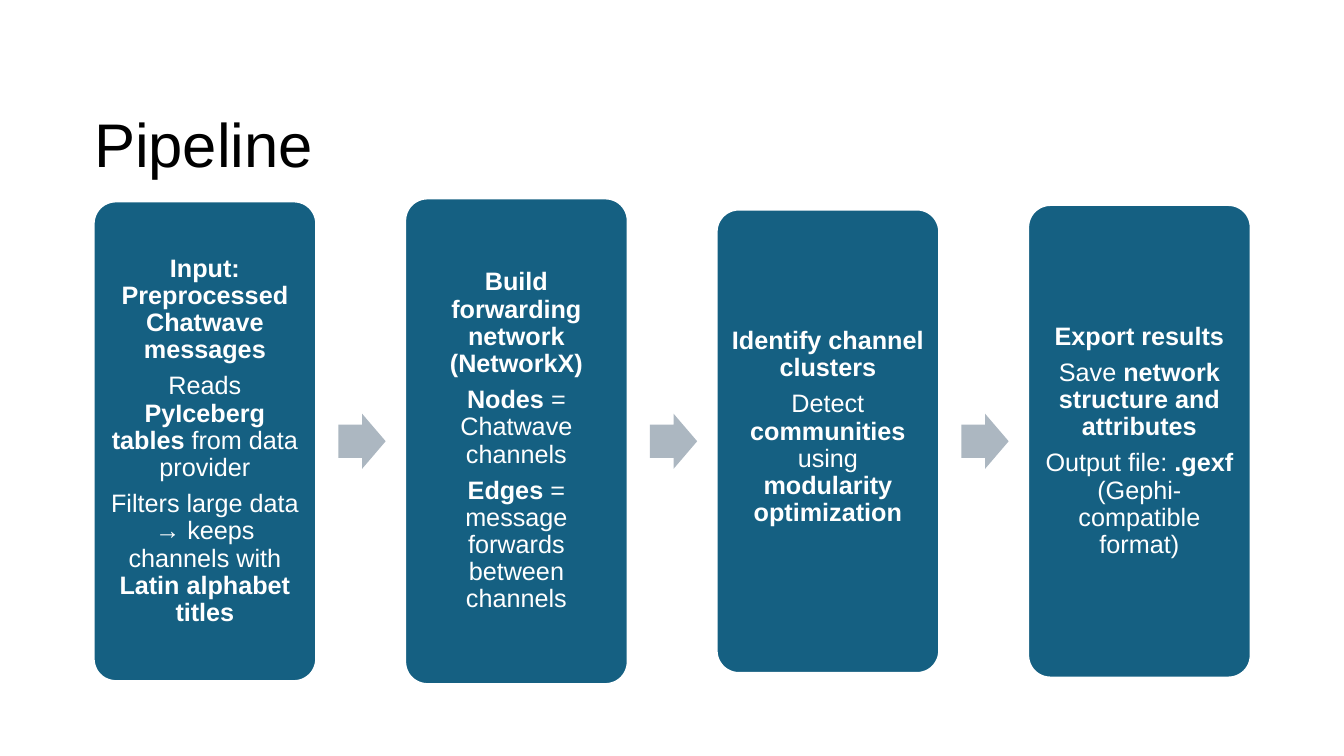
import pptx
import pptx.util
import pptx.dml.color
import pptx.enum.shapes
import pptx.enum.text
from pptx.util import Cm, Pt

SHAPES = pptx.enum.shapes.MSO_SHAPE
ALIGN = pptx.enum.text.PP_ALIGN
MIDDLE = pptx.enum.text.MSO_ANCHOR.MIDDLE


def color(value):
    return pptx.dml.color.RGBColor.from_string(value)


def write(frame, texts, para_format, font_format, font_color):
    for index, text in enumerate(texts):
        para = frame.paragraphs[0] if index == 0 else frame.add_paragraph()
        for name, value in para_format.items():
            setattr(para, name, value)
        for part, words in enumerate(text.split("**")):
            if words:
                span = para.add_run()
                span.text = words
                for name, value in font_format.items():
                    setattr(span.font, name, value)
                span.font.bold = part % 2 == 1
                span.font.color.rgb = color(font_color)


deck = pptx.Presentation()
deck.slide_width = Cm(33.87)
deck.slide_height = Cm(19.05)
page = deck.slides.add_slide(deck.slide_layouts[6])

title = page.shapes.add_textbox(Cm(2.12), Cm(1.88), Cm(29.21), Cm(3.68))
title.text_frame.word_wrap = True
title.text_frame.vertical_anchor = MIDDLE
write(title.text_frame, ["Pipeline"], {"line_spacing": 0.9},
      {"name": "Arial", "size": Pt(44)}, "000000")

steps = [
    (12.09, 0.18, ["**Input: Preprocessed Chatwave messages**",
                   "Reads **PyIceberg tables** from data provider",
                   "Filters large data → keeps channels with **Latin alphabet titles**"]),
    (12.24, 0.18, ["**Build forwarding network (NetworkX)**",
                   "**Nodes** = Chatwave channels",
                   "**Edges** = message forwards between channels"]),
    (11.68, 0.87, ["**Identify channel clusters**",
                   "Detect **communities** using **modularity optimization**"]),
    (11.91, 0.18, ["**Export results**",
                   "Save **network structure and attributes**",
                   "Output file: **.gexf** (Gephi-compatible format)"]),
]
first_left, pitch, middle = 2.36, 7.85, 11.12
card_width, arrow_width, arrow_height, arrow_offset = 5.61, 1.19, 1.39, 6.17

for index, (height, bottom_margin, texts) in enumerate(steps):
    left = first_left + index * pitch
    card = page.shapes.add_shape(SHAPES.ROUNDED_RECTANGLE, Cm(left),
                                 Cm(middle - height / 2), Cm(card_width), Cm(height))
    card.adjustments[0] = 0.1
    card.shadow.inherit = False
    card.fill.solid()
    card.fill.fore_color.rgb = color("156082")
    card.line.color.rgb = color("FFFFFF")
    card.line.width = Pt(1.5)
    frame_format = {"word_wrap": True, "vertical_anchor": MIDDLE,
                    "margin_left": Cm(0.18), "margin_right": Cm(0.18),
                    "margin_top": Cm(0.18), "margin_bottom": Cm(bottom_margin)}
    for name, value in frame_format.items():
        setattr(card.text_frame, name, value)
    write(card.text_frame, texts,
          {"alignment": ALIGN.CENTER, "line_spacing": 0.9, "space_after": Pt(6.3)},
          {"name": "Arial", "size": Pt(18)}, "FFFFFF")

    if index < len(steps) - 1:
        arrow = page.shapes.add_shape(SHAPES.RIGHT_ARROW, Cm(left + arrow_offset),
                                      Cm(middle - arrow_height / 2),
                                      Cm(arrow_width), Cm(arrow_height))
        arrow.adjustments[0] = 0.6
        arrow.adjustments[1] = 0.5
        arrow.shadow.inherit = False
        arrow.fill.solid()
        arrow.fill.fore_color.rgb = color("ACB7C1")
        arrow.line.fill.background()

deck.save("out.pptx")
